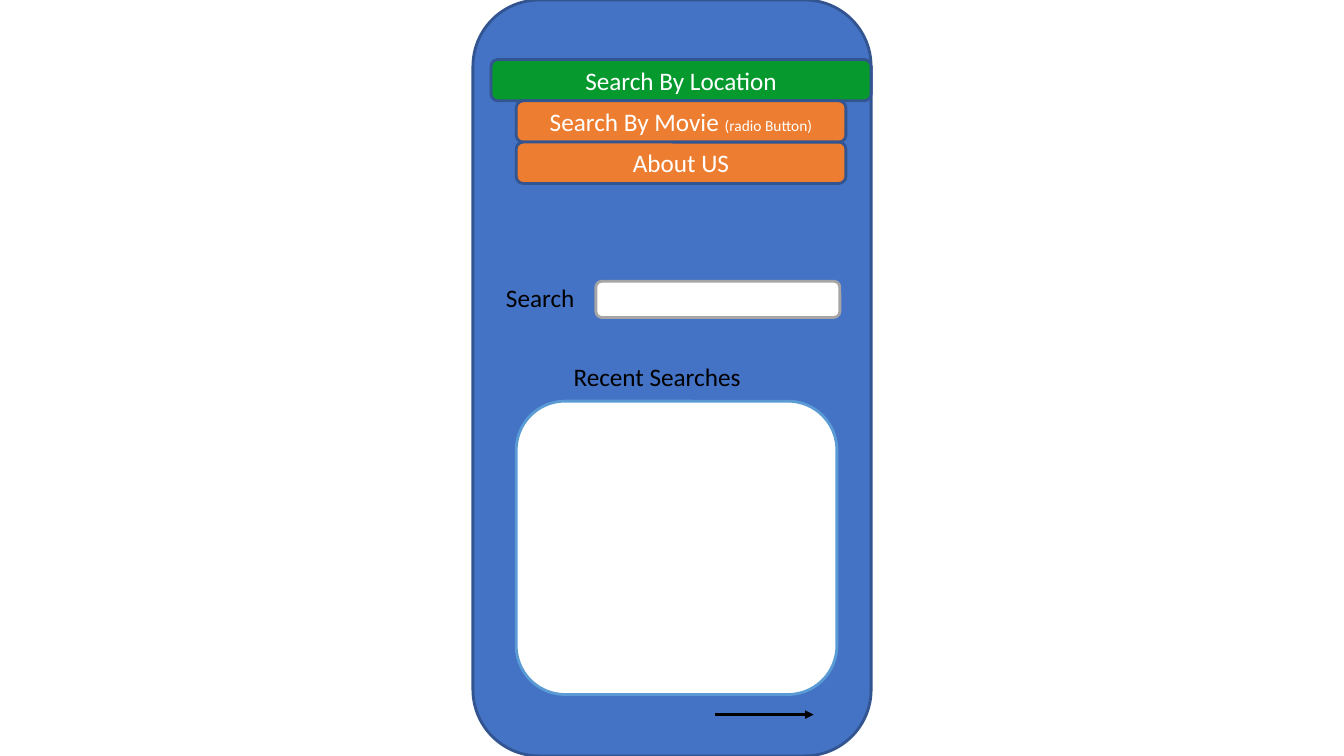
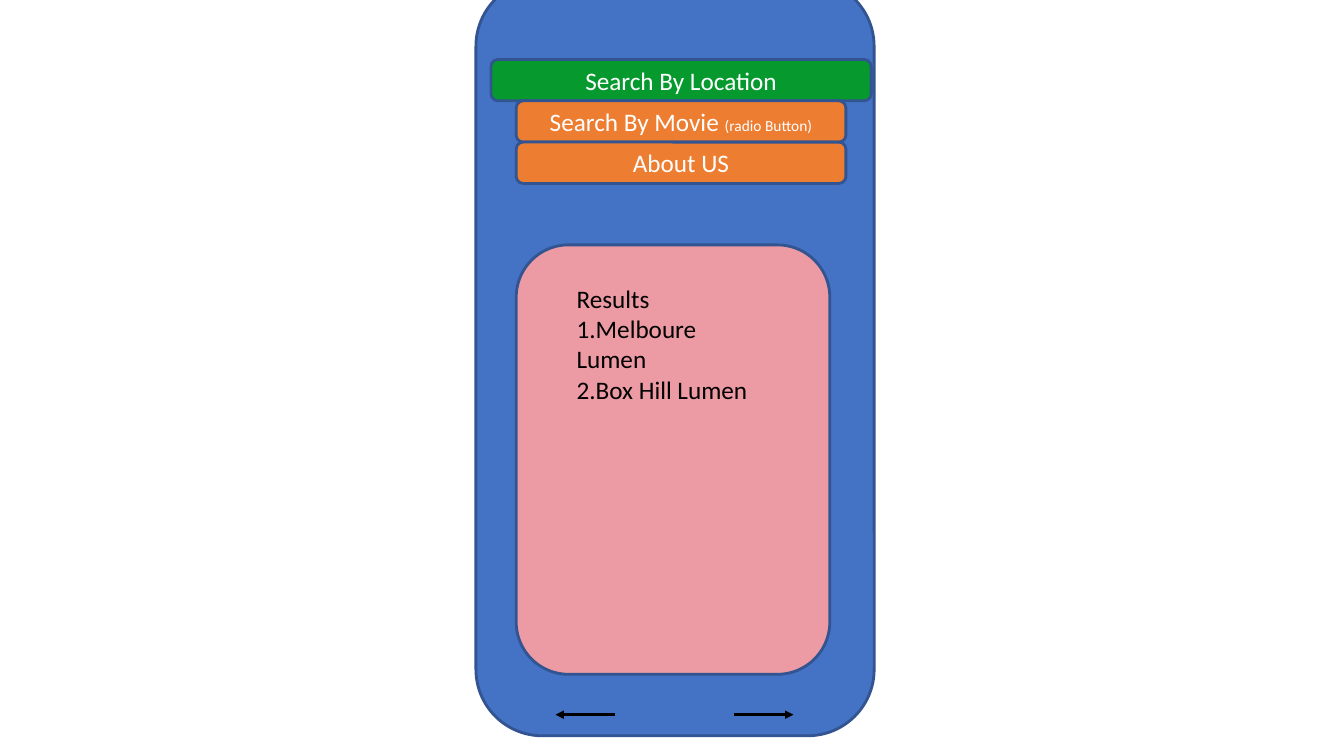
import pptx
import pptx.util
import pptx.dml.color
import pptx.enum.shapes
import pptx.enum.text
import pptx.oxml.ns
import lxml.etree

Inches = pptx.util.Inches
Pt = pptx.util.Pt
RGB = pptx.dml.color.RGBColor.from_string
qn = pptx.oxml.ns.qn

FONT = "Calibri"
HEX = {
    "blue": "4472C4", "navy": "325490", "green": "069A2E", "orange": "ED7D31",
    "pink": "EC9BA4", "gray": "A5A5A5", "sky": "5B9BD5",
    "white": "FFFFFF", "black": "000000",
}


def add_text(shape, rows, color, align):
    """Write rows of (text, size) runs into a shape, one paragraph a row."""
    frame = shape.text_frame
    frame.word_wrap = True
    for i, row in enumerate(rows):
        para = frame.paragraphs[0] if i == 0 else frame.add_paragraph()
        para.alignment = align
        for text, size in row:
            run = para.add_run()
            run.text = text
            run.font.name = FONT
            run.font.size = Pt(size)
            run.font.color.rgb = RGB(HEX[color])


def add_box(slide, area, fill, line="navy"):
    """Add a rounded box with a flat fill and a 2 pt outline."""
    kind = pptx.enum.shapes.MSO_SHAPE.ROUNDED_RECTANGLE
    box = slide.shapes.add_shape(kind, *map(Inches, area))
    box.shadow.inherit = False
    box.fill.solid()
    box.fill.fore_color.rgb = RGB(HEX[fill])
    box.line.color.rgb = RGB(HEX[line])
    box.line.width = Pt(2)
    return box


deck = pptx.Presentation()
deck.slide_width = Inches(13.33)
deck.slide_height = Inches(7.5)
blank = deck.slide_layouts[6]
ALIGN = pptx.enum.text.PP_ALIGN

# Shared parts: phone body and menu buttons
menu = [
    (4.87, 3.77, "green", [("Search By Location", 18)]),
    (5.12, 3.27, "orange", [("Search By Movie ", 18), ("(radio Button)", 11)]),
    (5.12, 3.27, "orange", [("About US", 18)]),
]
high = 0.41
for left, top in [(4.69, 0), (4.72, -0.2)]:
    slide = deck.slides.add_slide(blank)
    add_box(slide, (left, top, 3.95, 7.5), "blue")
    for i, (x, wide, fill, row) in enumerate(menu):
        button = add_box(slide, (x, 0.59 + i * high, wide, high), fill)
        button.text_frame.vertical_anchor = pptx.enum.text.MSO_ANCHOR.MIDDLE
        add_text(button, [row], "white", ALIGN.CENTER)
search, result = deck.slides

# Search field, recent list and result panel
add_box(search, (5.91, 2.79, 2.42, 0.36), "white", "gray")
add_box(search, (5.12, 3.98, 3.18, 2.91), "white", "sky")
add_box(result, (5.12, 2.43, 3.11, 4.26), "pink")

# Labels
labels = [
    (search, (4.92, 2.75, 2.82, 0.4), ["Search"]),
    (search, (5.59, 3.54, 2.08, 0.4), ["Recent Searches"]),
    (result, (5.62, 2.76, 2.05, 1),
     ["Results", "1.Melboure Lumen", "2.Box Hill Lumen"]),
]
for slide, area, lines in labels:
    label = slide.shapes.add_textbox(*map(Inches, area))
    add_text(label, [[(line, 18)] for line in lines], "black", ALIGN.LEFT)

# Page arrows, each pointing from start to end
base = Inches(7.09)
for slide, start, end in [
    (search, 7.09, 8.07), (result, 7.28, 7.87), (result, 6.1, 5.51),
]:
    arrow = slide.shapes.add_connector(
        pptx.enum.shapes.MSO_CONNECTOR.STRAIGHT,
        Inches(start), base, Inches(end), base)
    arrow.line.color.rgb = RGB(HEX["black"])
    arrow.line.width = Pt(0)
    props = arrow._element.spPr
    tip = lxml.etree.SubElement(props.find(qn("a:ln")), qn("a:tailEnd"))
    tip.set("type", "triangle")
    lxml.etree.SubElement(props, qn("a:effectLst"))

deck.save("out.pptx")
